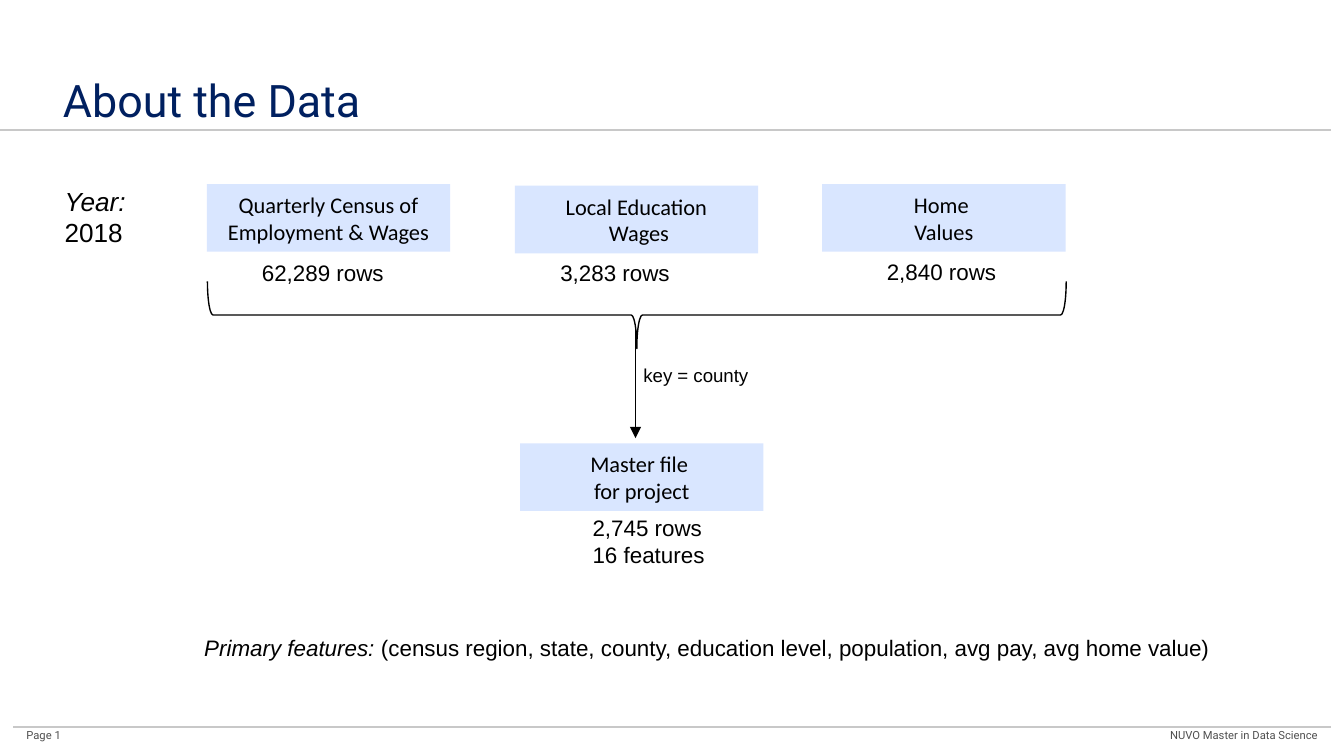
from dataclasses import dataclass

from lxml.etree import SubElement
from pptx import Presentation
from pptx.dml.color import RGBColor as RGB
from pptx.enum.shapes import MSO_CONNECTOR as Connector, MSO_SHAPE as Shape
from pptx.enum.text import MSO_ANCHOR as Anchor, MSO_AUTO_SIZE as AutoSize, PP_ALIGN as Align
from pptx.oxml.ns import qn
from pptx.util import Cm, Pt


@dataclass(frozen=True)
class Theme:
    navy: RGB = RGB.from_string("002060")
    ink: RGB = RGB.from_string("000000")
    muted: RGB = RGB.from_string("505050")
    rule: RGB = RGB.from_string("C8C8C8")
    panel: RGB = RGB.from_string("D9E6FF")
    heading_size: Pt = Pt(24)
    year_size: Pt = Pt(14)
    body_size: Pt = Pt(12)
    key_size: Pt = Pt(10)
    footer_size: Pt = Pt(6)
    heading_font: str = "Roboto"
    box_font: str = "Calibri"
    body_font: str = "Arial"


theme = Theme()


def style_text(shape, size, font, color, align=Align.LEFT, inset=None):
    frame = shape.text_frame
    if inset is not None:
        frame.margin_left = frame.margin_right = inset
        frame.margin_top = frame.margin_bottom = inset
    for paragraph in frame.paragraphs:
        paragraph.alignment = align
        for run in paragraph.runs:
            run.font.size = size
            run.font.name = font
            run.font.color.rgb = color


def add_line(start, end, color):
    line = slide.shapes.add_connector(Connector.STRAIGHT, *map(Cm, start + end))
    line.line.color.rgb = color
    line.line.width = Pt(0.75)
    SubElement(line.line._get_or_add_ln().getparent(), qn("a:effectLst"))
    return line


presentation = Presentation()
presentation.slide_width = Cm(25.4)
presentation.slide_height = Cm(14.29)
slide = presentation.slides.add_slide(presentation.slide_layouts[5])

add_line((0.25, 13.74), (25.15, 13.74), theme.rule)
add_line((0, 2.46), (25.15, 2.46), theme.rule)
for words, left, width, align in [
    ("Page 1", 0.25, 1.32, Align.LEFT),
    ("NUVO Master in Data Science", 21.16, 3.99, Align.RIGHT),
]:
    footer = slide.shapes.add_textbox(Cm(left), Cm(13.64), Cm(width), Cm(0.6))
    footer.text_frame.text = words
    footer.text_frame.word_wrap = True
    style_text(footer, theme.footer_size, theme.heading_font, theme.muted, align, Cm(0.25))

title = slide.shapes.title
title.left, title.top, title.width, title.height = Cm(0.94), Cm(1.12), Cm(10.39), Cm(1.12)
title.text_frame.text = "About the Data"
title.text_frame.auto_size = AutoSize.NONE
title.text_frame.vertical_anchor = Anchor.TOP
style_text(title, theme.heading_size, theme.heading_font, theme.navy, inset=Cm(0.25))

for words, left, top in [
    ("Quarterly Census of Employment & Wages", 3.91, 3.48),
    ("Local Education\n Wages", 9.73, 3.51),
    ("Home \nValues", 15.54, 3.48),
    ("Master file \nfor project", 9.83, 8.38),
]:
    dataset = slide.shapes.add_shape(Shape.RECTANGLE, Cm(left), Cm(top), Cm(4.6), Cm(1.28))
    dataset.shadow.inherit = False
    dataset.fill.solid()
    dataset.fill.fore_color.rgb = theme.panel
    dataset.line.fill.background()
    dataset.text_frame.text = words
    style_text(dataset, theme.body_size, theme.box_font, theme.ink, Align.CENTER)

brace = slide.shapes.add_shape(Shape.RIGHT_BRACE, Cm(11.4), Cm(-2.16), Cm(1.27), Cm(16.23))
brace.rotation = 90
brace.shadow.inherit = False
brace.fill.background()
brace.line.color.rgb = theme.ink
brace.line.width = Pt(0.75)

merge_arrow = add_line((12.01, 6.12), (12.01, 8.28), theme.ink)
SubElement(merge_arrow.line._get_or_add_ln(), qn("a:tailEnd"), type="triangle")

for words, left, top, width, height, size in [
    ("Year:\n2018", 0.97, 3.38, 1.7, 1.45, theme.year_size),
    ("62,289 rows", 4.7, 4.78, 2.84, 0.76, theme.body_size),
    ("3,283 rows", 10.34, 4.78, 2.59, 0.76, theme.body_size),
    ("2,840 rows", 16.51, 4.75, 2.59, 0.76, theme.body_size),
    ("key = county", 11.91, 6.76, 2.51, 0.69, theme.key_size),
    ("2,745 rows\n16 features", 10.95, 9.6, 2.64, 1.27, theme.body_size),
    ("Primary features: ", 3.61, 11.86, 20.09, 0.76, theme.body_size),
]:
    label = slide.shapes.add_textbox(Cm(left), Cm(top), Cm(width), Cm(height))
    label.text_frame.text = words
    label.text_frame.word_wrap = False
    lead = label.text_frame.paragraphs[0]
    if words.startswith(("Year", "Primary")):
        lead.runs[0].font.italic = True
    if words.startswith("Primary"):
        lead.add_run().text = (
            "(census region, state, county, education level, "
            "population, avg pay, avg home value)"
        )
    style_text(label, size, theme.body_font, theme.ink)

presentation.save("out.pptx")
